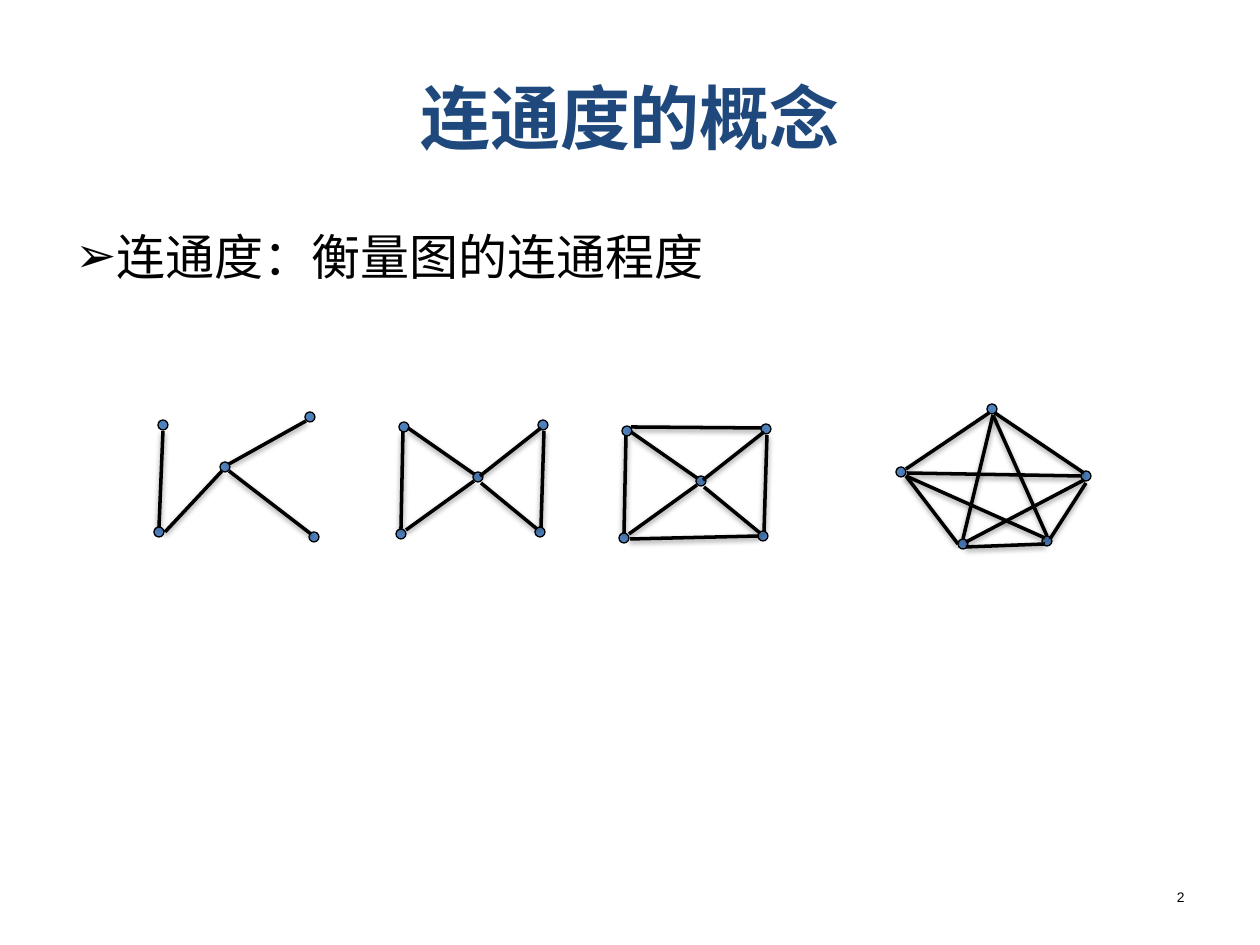
from lxml import etree
from pptx import Presentation
from pptx.dml.color import RGBColor
from pptx.enum.shapes import MSO_CONNECTOR, MSO_SHAPE
from pptx.enum.text import MSO_ANCHOR as Anchor, PP_ALIGN as Align
from pptx.oxml import parse_xml
from pptx.oxml.ns import nsdecls, qn
from pptx.util import Pt

TITLE = "连通度的概念"
DEFINITION = "连通度：衡量图的连通程度"
PAGE_NUMBER = "2"

COLORS = {"title": "1F497D", "text": "000000", "node": "4F81BD", "edge": "000000"}
FONT = "Arial"
PX = 914400 / 126
NODE_SIZE = 10

BOWTIE_NODES = [(3, 2), (0, 109), (142, 0), (139, 107), (77, 52)]
BOWTIE_EDGES = [
    (7, 12, 5, 109), (148, 11, 145, 108), (85, 63, 141, 109),
    (12, 8, 78, 54), (10, 110, 78, 61), (84, 56, 145, 8),
]
GRAPHS = [
    {
        "origin": (154, 412),
        "nodes": [(4, 8), (0, 115), (66, 50), (151, 0), (155, 120)],
        "edges": [(9, 19, 5, 115), (68, 59, 11, 120), (75, 59, 157, 122), (75, 52, 152, 9)],
    },
    {"origin": (396, 420), "nodes": BOWTIE_NODES, "edges": BOWTIE_EDGES},
    {
        "origin": (619, 424),
        "nodes": BOWTIE_NODES,
        "edges": BOWTIE_EDGES + [(12, 3, 142, 4), (11, 115, 140, 112)],
    },
    {
        "origin": (896, 404),
        "nodes": [(91, 0), (0, 63), (185, 67), (62, 135), (146, 132)],
        "edges": [
            (97, 11, 151, 132), (99, 9, 188, 69), (97, 11, 67, 135), (93, 9, 10, 65),
            (185, 72, 11, 69), (62, 140, 10, 72), (149, 134, 10, 72),
            (188, 76, 70, 138), (149, 140, 70, 143), (190, 79, 154, 135),
        ],
    },
]


def px(value):
    return round(value * PX)


def color(name):
    return RGBColor.from_string(COLORS[name])


def add_text(slide, text, box, size, fill="text", bold=False,
             align=Align.LEFT, anchor=Anchor.TOP, bullet=None, indent=0):
    shape = slide.shapes.add_textbox(*map(px, box))
    frame = shape.text_frame
    frame.word_wrap = True
    frame.vertical_anchor = anchor
    paragraph = frame.paragraphs[0]
    paragraph.alignment = align
    if bullet:
        properties = paragraph._p.get_or_add_pPr()
        properties.set("marL", str(px(indent)))
        properties.set("indent", str(-px(indent)))
        etree.SubElement(properties, qn("a:buFont"), typeface=FONT)
        etree.SubElement(properties, qn("a:buChar"), char=bullet)
    run = paragraph.add_run()
    run.text = text
    run.font.name = FONT
    run.font.size = Pt(size)
    run.font.bold = bold
    run.font.color.rgb = color(fill)


def add_node(slide, left, top):
    shape = slide.shapes.add_shape(
        MSO_SHAPE.OVAL, px(left), px(top), px(NODE_SIZE), px(NODE_SIZE))
    shape.shadow.inherit = False
    shape.fill.solid()
    shape.fill.fore_color.rgb = color("node")
    shape.line.color.rgb = color("edge")
    shape.line.width = Pt(0.75)


def add_edge(slide, *ends):
    connector = slide.shapes.add_connector(MSO_CONNECTOR.STRAIGHT, *map(px, ends))
    connector.line.color.rgb = color("edge")
    connector.line.width = Pt(2)
    connector._element.spPr.append(parse_xml(
        f'<a:effectLst {nsdecls("a")}>'
        f'<a:outerShdw blurRad="{Pt(3.1)}" dist="{Pt(1.6)}" dir="5400000" rotWithShape="0">'
        f'<a:srgbClr val="{COLORS["edge"]}"><a:alpha val="38000"/></a:srgbClr>'
        '</a:outerShdw></a:effectLst>'))


def add_graph(slide, origin, nodes, edges):
    left, top = origin
    for x, y in nodes:
        add_node(slide, left + x, top + y)
    for x1, y1, x2, y2 in edges:
        add_edge(slide, left + x1, top + y1, left + x2, top + y2)


def main():
    presentation = Presentation()
    presentation.slide_width = px(1260)
    presentation.slide_height = px(945)
    slide = presentation.slides.add_slide(presentation.slide_layouts[6])
    add_text(slide, TITLE, (63, 38, 1134, 157), 40, fill="title", bold=True,
             align=Align.CENTER, anchor=Anchor.MIDDLE)
    add_text(slide, DEFINITION, (63, 220, 1134, 624), 28, bullet="➢", indent=27)
    add_text(slide, PAGE_NUMBER, (903, 882, 294, 44), 7.9, align=Align.RIGHT)
    for graph in GRAPHS:
        add_graph(slide, **graph)
    presentation.save("out.pptx")


if __name__ == "__main__":
    main()
